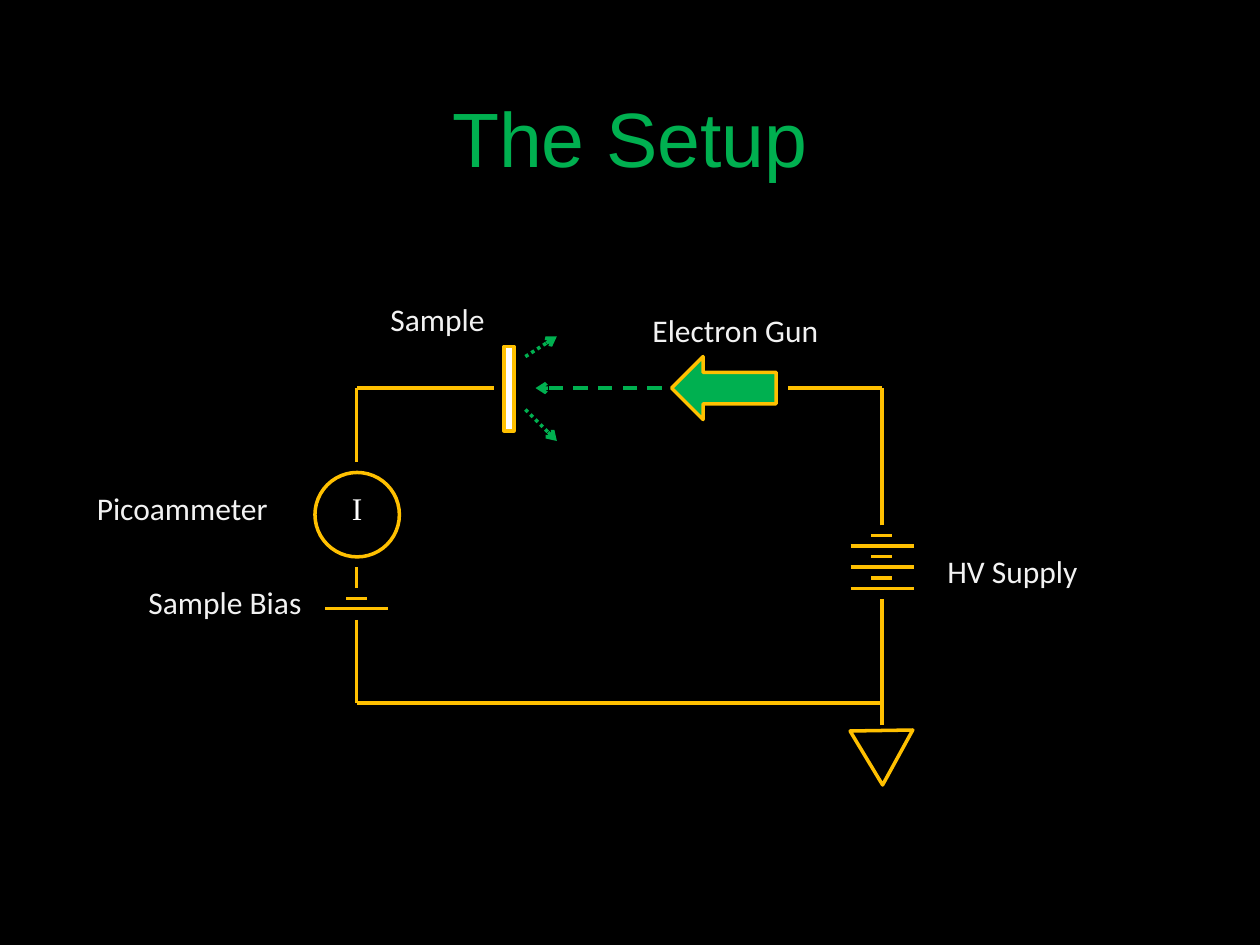
from dataclasses import dataclass

from lxml.etree import SubElement
from pptx import Presentation
from pptx.dml.color import RGBColor
from pptx.enum.dml import MSO_LINE_DASH_STYLE as Dash
from pptx.enum.shapes import MSO_CONNECTOR as Connector, MSO_SHAPE as Preset
from pptx.enum.text import MSO_ANCHOR as Anchor, MSO_AUTO_SIZE as AutoSize, PP_ALIGN as Align
from pptx.oxml.ns import qn
from pptx.util import Inches, Pt


@dataclass(frozen=True)
class Theme:
    background: RGBColor = RGBColor(0, 0, 0)
    wire: RGBColor = RGBColor(0xFF, 0xC0, 0)
    beam: RGBColor = RGBColor(0, 0xB0, 0x50)
    white: RGBColor = RGBColor(0xFF, 0xFF, 0xFF)
    label: RGBColor = RGBColor(0xF2, 0xF2, 0xF2)
    title_size: Pt = Pt(44)
    label_size: Pt = Pt(18)
    stroke: Pt = Pt(2)
    title_font: str = "Arial"
    label_font: str = "Calibri"
    symbol_font: str = "Times New Roman"


@dataclass(frozen=True)
class Box:
    x: float
    y: float
    w: float
    h: float

    @property
    def right(self):
        return self.x + self.w

    @property
    def bottom(self):
        return self.y + self.h

    def inches(self):
        return [Inches(length) for length in (self.x, self.y, self.w, self.h)]


THEME = Theme()


def write(shape, text, font, size, color, align=Align.LEFT):
    frame = shape.text_frame
    frame.word_wrap = True
    frame.auto_size = AutoSize.SHAPE_TO_FIT_TEXT
    frame.vertical_anchor = Anchor.TOP
    paragraph = frame.paragraphs[0]
    paragraph.alignment = align
    run = paragraph.add_run()
    run.text = text
    run.font.name, run.font.size, run.font.color.rgb = font, size, color


def add_label(slide, text, box):
    write(slide.shapes.add_textbox(*box.inches()), text,
          THEME.label_font, THEME.label_size, THEME.label)


def add_part(slide, preset, box, fill=None, rotation=0):
    part = slide.shapes.add_shape(preset, *box.inches())
    part.shadow.inherit = False
    part.rotation = rotation
    part.line.color.rgb, part.line.width = THEME.wire, THEME.stroke
    if fill is None:
        part.fill.background()
    else:
        part.fill.solid()
        part.fill.fore_color.rgb = fill


def add_wire(shapes, start, end, color=THEME.wire):
    wire = shapes.add_connector(Connector.STRAIGHT, *map(Inches, start + end))
    wire.line.color.rgb, wire.line.width = color, THEME.stroke
    SubElement(wire._element.spPr, qn("a:effectLst"))
    return wire


def add_electrons(slide, start, end, dash):
    electrons = add_wire(slide.shapes, start, end, THEME.beam)
    electrons.line.dash_style = dash
    SubElement(electrons.line._get_or_add_ln(), qn("a:tailEnd"), type="arrow")


def add_battery(slide, box, cells):
    plates = slide.shapes.add_group_shape().shapes
    pitch = box.h / (2 * cells - 1)
    inset = box.w / 3
    for cell in range(cells):
        short_y = box.y + 2 * cell * pitch
        long_y = short_y + pitch
        add_wire(plates, (box.x + inset, short_y), (box.right - inset, short_y))
        add_wire(plates, (box.x, long_y), (box.right, long_y))


def add_title(slide, box):
    title = slide.shapes.title
    title.left, title.top, title.width, title.height = box.inches()
    write(title, "The Setup", THEME.title_font, THEME.title_size, THEME.beam, Align.CENTER)


def add_wiring(slide, loop):
    left, top, right, bottom = loop.x, loop.y, loop.right, loop.bottom
    for start, end in (
        ((left + 1.09, top), (left, top)),
        ((left, top), (left, top + 0.59)),
        ((left, top + 1.42), (left, top + 1.59)),
        ((left, top + 1.84), (left, bottom)),
        ((left, bottom), (right, bottom)),
        ((right, bottom), (right, bottom - 0.83)),
        ((right, top + 1.09), (right, top)),
        ((right, top), (right - 0.75, top)),
        ((right, bottom), (right, bottom + 0.17)),
    ):
        add_wire(slide.shapes, start, end)


def add_beam_line(slide, loop):
    x, y = loop.x, loop.y
    add_part(slide, Preset.RECTANGLE, Box(x + 1.17, y - 0.33, 0.08, 0.67), THEME.white)
    add_part(slide, Preset.RIGHT_ARROW, Box(x + 2.5, y - 0.25, 0.83, 0.5), THEME.beam, 180)
    add_electrons(slide, (x + 2.42, y), (x + 1.42, y), Dash.DASH)
    add_electrons(slide, (x + 1.34, y + 0.17), (x + 1.59, y + 0.42), Dash.ROUND_DOT)
    add_electrons(slide, (x + 1.34, y - 0.25), (x + 1.59, y - 0.41), Dash.ROUND_DOT)
    add_label(slide, "Sample", Box(x + 0.17, y - 0.75, 1.25, 0.4))
    add_label(slide, "Electron Gun", Box(x + 2.25, y - 0.66, 1.67, 0.4))


def add_sample_side(slide, loop):
    x, y = loop.x, loop.y
    add_part(slide, Preset.OVAL, Box(x - 0.33, y + 0.67, 0.67, 0.67), THEME.background)
    current = slide.shapes.add_textbox(*Box(x - 0.16, y + 0.75, 0.33, 0.42).inches())
    write(current, "I", THEME.symbol_font, THEME.label_size, THEME.white, Align.CENTER)
    add_battery(slide, Box(x - 0.25, y + 1.67, 0.5, 0.08), 1)
    add_label(slide, "Picoammeter", Box(x - 2.16, y + 0.75, 1.83, 0.4))
    add_label(slide, "Sample Bias", Box(x - 1.75, y + 1.5, 1.5, 0.4))


def add_supply_side(slide, loop):
    add_battery(slide, Box(loop.right - 0.25, loop.y + 1.17, 0.5, 0.42), 3)
    add_label(slide, "HV Supply", Box(loop.right + 0.42, loop.y + 1.25, 1.67, 0.4))
    ground = Box(loop.right - 0.19, loop.bottom + 0.11, 0.5, 0.43)
    add_part(slide, Preset.ISOSCELES_TRIANGLE, ground, rotation=58.9)


def main():
    deck = Presentation()
    deck.slide_width, deck.slide_height = Inches(10), Inches(7.5)
    slide = deck.slides.add_slide(deck.slide_layouts[5])
    slide.background.fill.solid()
    slide.background.fill.fore_color.rgb = THEME.background
    add_title(slide, Box(0, 0.67, 10, 0.84))
    loop = Box(2.83, 3.08, 4.17, 2.5)
    for add_region in (add_wiring, add_beam_line, add_sample_side, add_supply_side):
        add_region(slide, loop)
    deck.save("out.pptx")


if __name__ == "__main__":
    main()
